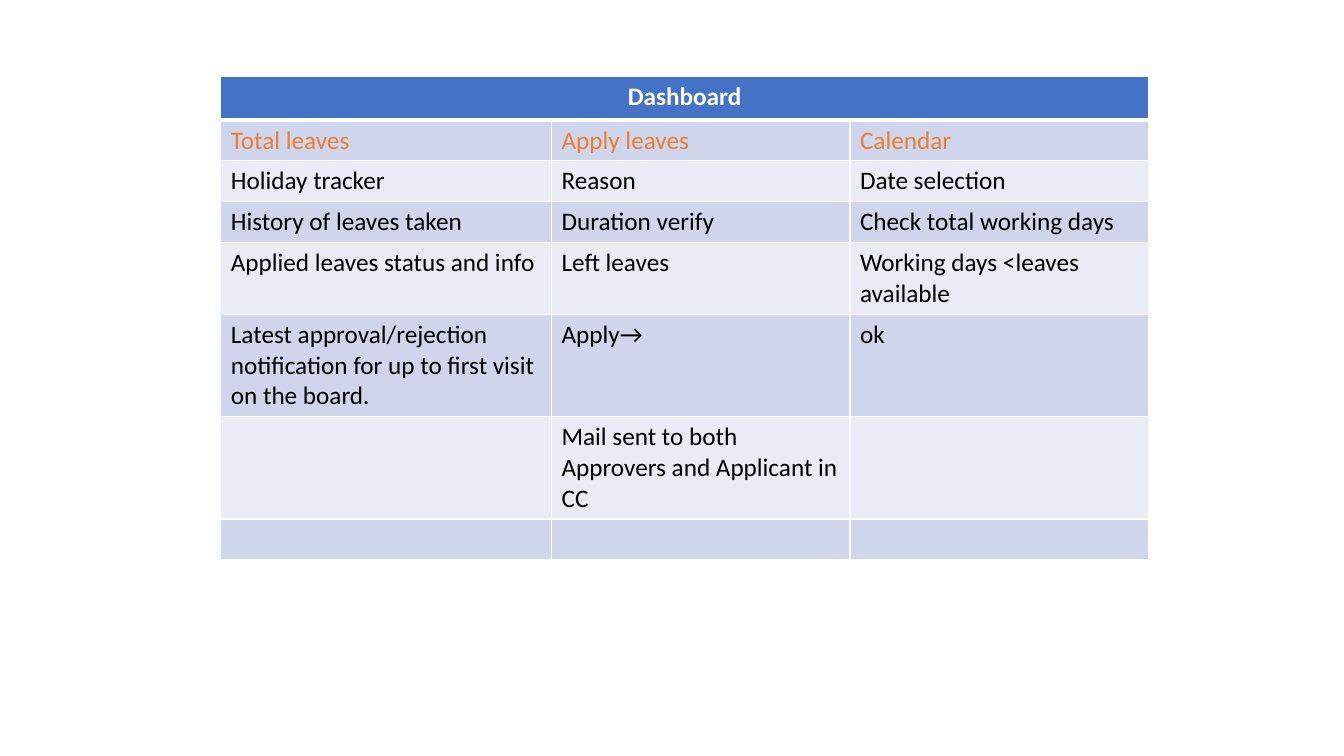
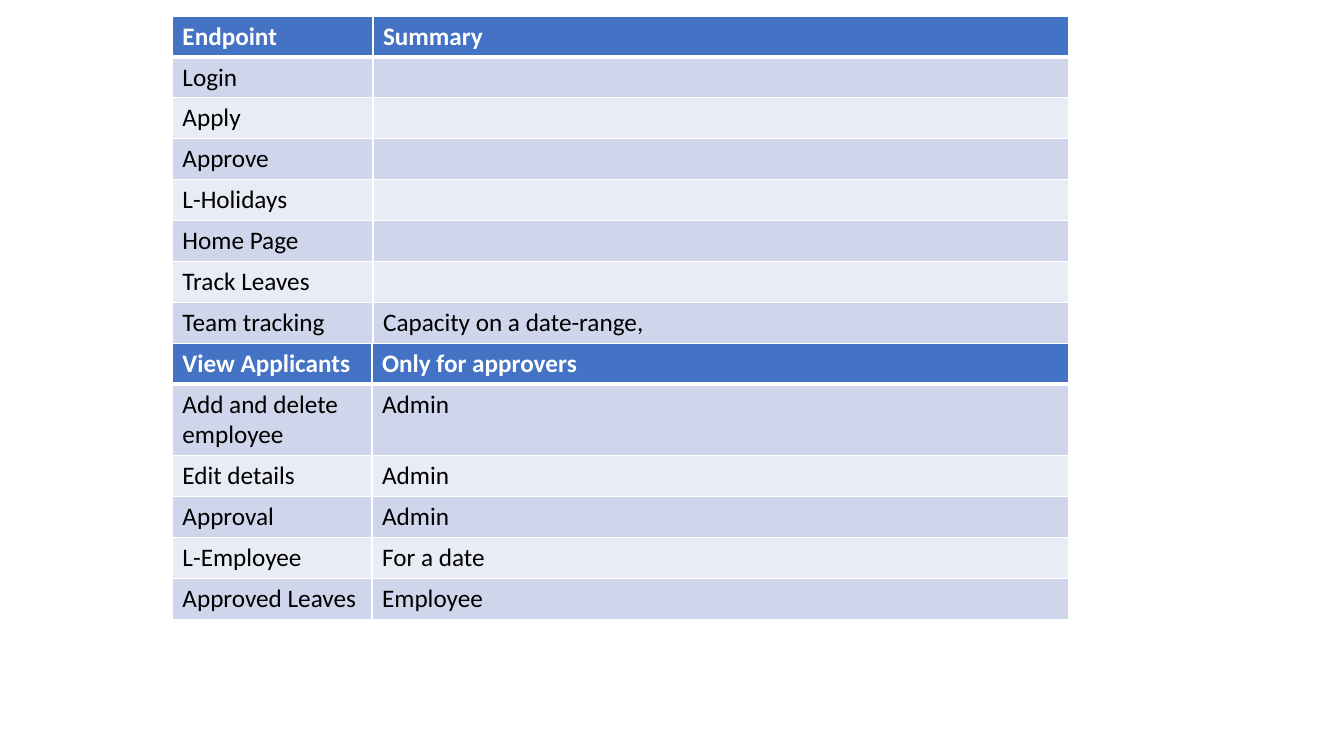
from lxml import etree
from pptx import Presentation, util as u
from pptx.dml.color import RGBColor
from pptx.enum.text import PP_ALIGN
from pptx.oxml.ns import qn

WHITE = RGBColor(0xFF, 0xFF, 0xFF)
BLACK = RGBColor(0, 0, 0)
BLUE = RGBColor(0x44, 0x72, 0xC4)
ORANGE = RGBColor(0xED, 0x7D, 0x31)
BANDS = RGBColor(0xE9, 0xEB, 0xF5), RGBColor(0xCF, 0xD5, 0xEA)
FONT, SIZE = "Calibri", u.Pt(18)
ROW = u.Pt(29.2)
THIN, THICK = u.Pt(1), u.Pt(3)

BOARD = [
    ("Dashboard", "", ""),
    ("Total leaves", "Apply leaves", "Calendar"),
    ("Holiday tracker", "Reason", "Date selection"),
    ("History of leaves taken", "Duration verify", "Check total working days"),
    ("Applied leaves status and info", "Left leaves",
     "Working days <leaves available"),
    ("Latest approval/rejection notification for up to first visit "
     "on the board.", "Apply→", "ok"),
    ("", "Mail sent to both Approvers and Applicant in CC", ""),
    ("", "", ""),
]
PAGES = [
    ("Endpoint", "Summary"),
    ("Login", ""),
    ("Apply", ""),
    ("Approve", ""),
    ("L-Holidays", ""),
    ("Home Page", ""),
    ("Track Leaves", ""),
    ("Team tracking", "Capacity on a date-range,"),
]
ROLES = [
    ("View Applicants", "Only for approvers"),
    ("Add and delete employee", "Admin"),
    ("Edit details", "Admin"),
    ("Approval", "Admin"),
    ("L-Employee", "For a date"),
    ("Approved Leaves", "Employee"),
]


def rule(cell, side, width):
    """Draw a white border on one side (L, R, T or B) of a cell."""
    props = cell._tc.get_or_add_tcPr()
    line = etree.SubElement(props, qn(f"a:ln{side}"), w=str(width))
    fill = etree.SubElement(line, qn("a:solidFill"))
    etree.SubElement(fill, qn("a:srgbClr"), val=str(WHITE))


def ink(cell, color, bold=False):
    for run in cell.text_frame.paragraphs[0].runs:
        font = run.font
        font.name, font.size = FONT, SIZE
        font.bold, font.color.rgb = bold, color


def style(cell, row):
    """Give a cell the borders, fill and font of its row."""
    head = row == 0
    edges = {"L": THIN, "R": THIN,
             "T": THICK if row == 1 else THIN,
             "B": THICK if head else THIN}
    for side, width in edges.items():
        rule(cell, side, width)
    cell.fill.solid()
    cell.fill.fore_color.rgb = BLUE if head else BANDS[row % 2]
    ink(cell, WHITE if head else BLACK, head)


def grid(slide, left, top, cols, data, head=ROW):
    """Add a banded table and return it."""
    widths = [u.Inches(c) for c in cols]
    high = head + ROW * (len(data) - 1)
    frame = slide.shapes.add_table(
        len(data), len(cols), left, top, sum(widths), high)
    table = frame.table
    for col, width in zip(table.columns, widths):
        col.width = width
    for r, texts in enumerate(data):
        table.rows[r].height = ROW if r else head
        for c, words in enumerate(texts):
            cell = table.cell(r, c)
            cell.text_frame.text = words
            style(cell, r)
    return frame


def board(slide):
    table = grid(slide, u.Inches(2.19), u.Inches(0.76),
                 (3.28, 2.96, 2.96), BOARD, u.Pt(31)).table
    title = table.cell(0, 0)
    title.merge(table.cell(0, 2))
    title.text_frame.paragraphs[0].alignment = PP_ALIGN.CENTER
    for c in range(3):
        ink(table.cell(1, c), ORANGE)


def pages(slide):
    left = u.Inches(1.71)
    first = grid(slide, left, u.Inches(0.16), (1.99, 6.9), PAGES)
    grid(slide, left, first.top + first.height, (1.98, 6.91), ROLES)


def main():
    deck = Presentation()
    deck.slide_width, deck.slide_height = u.Inches(13.33), u.Inches(7.5)
    for draw in (board, pages):
        draw(deck.slides.add_slide(deck.slide_layouts[6]))
    deck.save("out.pptx")


if __name__ == "__main__":
    main()
